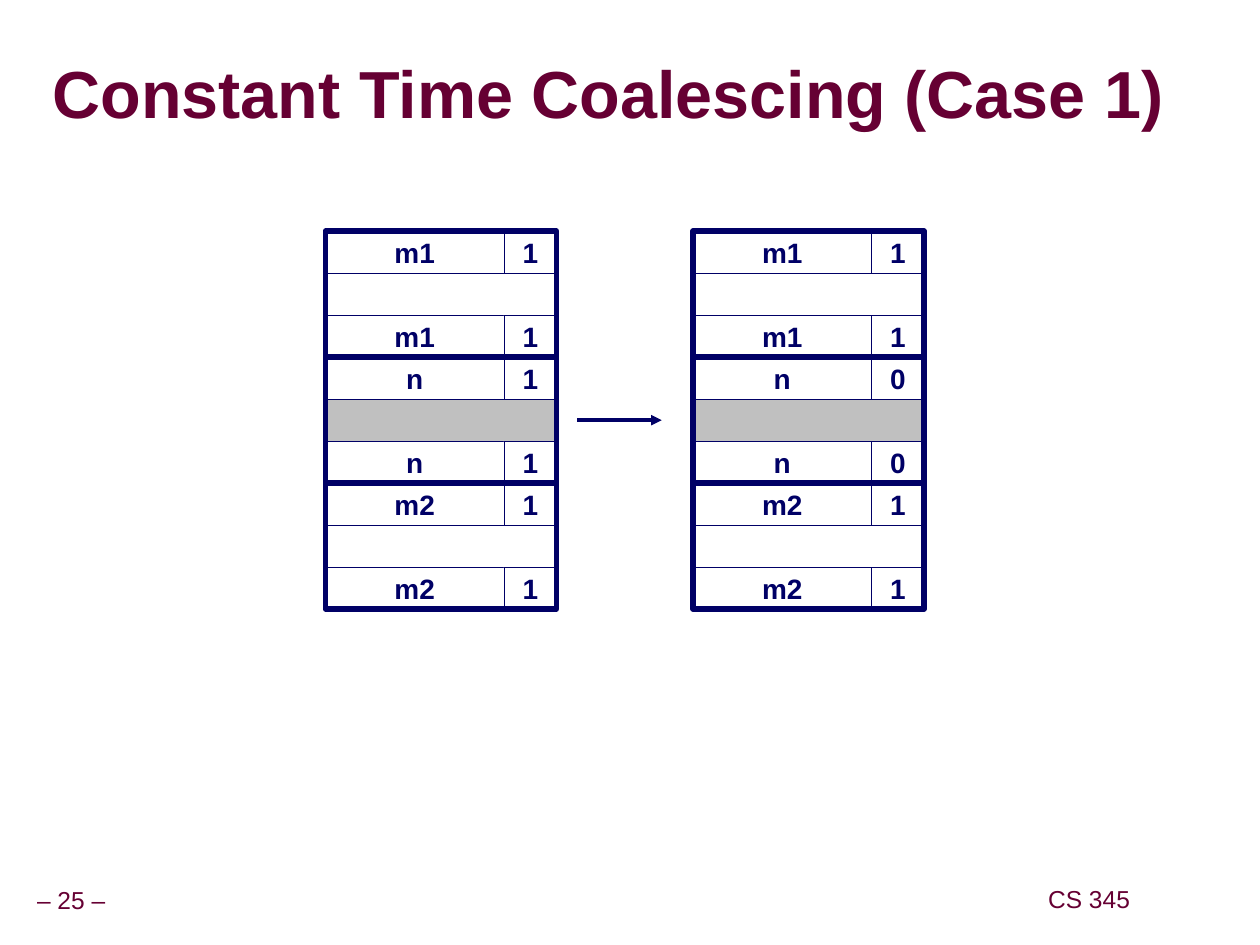
import pptx
import pptx.util
import pptx.dml.color
import pptx.enum.shapes
import pptx.enum.text
import pptx.oxml
import pptx.oxml.ns
from lxml import etree
from dataclasses import dataclass

Cm = pptx.util.Cm
Pt = pptx.util.Pt
RGB = pptx.dml.color.RGBColor.from_string
qn = pptx.oxml.ns.qn
ALIGN = pptx.enum.text.PP_ALIGN


@dataclass
class Theme:
    font: str = "Arial"
    maroon: str = "660033"
    navy: str = "000066"
    white: str = "FFFFFF"
    grey: str = "C0C0C0"
    shadow: str = "B2B2B2"
    title: int = 38
    cell: int = 16
    footer: int = 14
    thin: float = 0.25
    thick: int = 3
    arrow: int = 2


theme = Theme()


def write(sp, text, size, color, bold=False, align=ALIGN.CENTER,
          spacing=1.0, inset=(0.25, 0.13), wrap=False):
    tf = sp.text_frame
    tf.word_wrap = wrap
    tf.auto_size = pptx.enum.text.MSO_AUTO_SIZE.NONE
    tf.vertical_anchor = pptx.enum.text.MSO_ANCHOR.MIDDLE
    tf.margin_left = tf.margin_right = Cm(inset[0])
    tf.margin_top = tf.margin_bottom = Cm(inset[1])
    p = tf.paragraphs[0]
    p.alignment = align
    p.line_spacing = spacing
    r = p.add_run()
    r.text = text
    r.font.name = theme.font
    r.font.size = Pt(size)
    r.font.bold = bold
    r.font.color.rgb = RGB(color)
    return r


def add_box(x, y, w, h, fill, line):
    sp = s.shapes.add_shape(pptx.enum.shapes.MSO_SHAPE.RECTANGLE, Cm(x), Cm(y), Cm(w), Cm(h))
    sp.shadow.inherit = False
    if fill:
        sp.fill.solid()
        sp.fill.fore_color.rgb = RGB(fill)
    else:
        sp.fill.background()
    sp.line.color.rgb = RGB(theme.navy)
    sp.line.width = Pt(line)
    return sp


prs = pptx.Presentation()
prs.slide_width = Cm(25.4)
prs.slide_height = Cm(19.05)
s = prs.slides.add_slide(prs.slide_layouts[5])

sp = s.shapes.title
sp.left, sp.top, sp.width, sp.height = Cm(1.06), Cm(1.17), Cm(23.07), Cm(1.6)
r = write(sp, "Constant Time Coalescing (Case 1)", theme.title, theme.maroon, bold=True,
          align=ALIGN.LEFT, spacing=0.87, inset=(0, 0), wrap=True)
effects = etree.Element(qn("a:effectLst"))
shadow = etree.SubElement(effects, qn("a:outerShdw"), dist="35921", dir="2700000")
etree.SubElement(shadow, qn("a:srgbClr"), val=theme.shadow)
r.font.fill._xPr.find(qn("a:solidFill")).addnext(effects)

for text, x, y, w in (("– 25 –", -0.23, 17.78, 3.33), ("CS 345", 21.0, 17.76, 1.91)):
    sp = s.shapes.add_textbox(Cm(x), Cm(y), Cm(w), Cm(0.79))
    write(sp, text, theme.footer, theme.maroon, spacing=0.9, inset=(0.13, 0.13))

top = 4.66
row = 2.54 / 3
name_w, flag_w = 3.6, 1.06
total_w = name_w + flag_w
columns = (
    (6.56, (("m1", "1"), ("n", "1"), ("m2", "1"))),
    (13.97, (("m1", "1"), ("n", "0"), ("m2", "1"))),
)
for x, blocks in columns:
    for i, (name, flag) in enumerate(blocks):
        y = top + 3 * row * i
        body = theme.grey if name == "n" else theme.white
        add_box(x, y + row, total_w, row, body, theme.thin)
        for tag_y in (y, y + 2 * row):
            for text, cell_x, w in ((name, x, name_w), (flag, x + name_w, flag_w)):
                sp = add_box(cell_x, tag_y, w, row, theme.white, theme.thin)
                write(sp, text, theme.cell, theme.navy, bold=True)
        add_box(x, y, total_w, 3 * row, None, theme.thick)

arrow_y = top + 4.5 * row
arrow = s.shapes.add_connector(pptx.enum.shapes.MSO_CONNECTOR.STRAIGHT,
                               Cm(11.64), Cm(arrow_y), Cm(13.34), Cm(arrow_y))
arrow.line.color.rgb = RGB(theme.navy)
arrow.line.width = Pt(theme.arrow)
etree.SubElement(arrow.line._get_or_add_ln(), qn("a:tailEnd"), type="triangle")
etree.SubElement(arrow._element.spPr, qn("a:effectLst"))

prs.save("out.pptx")
